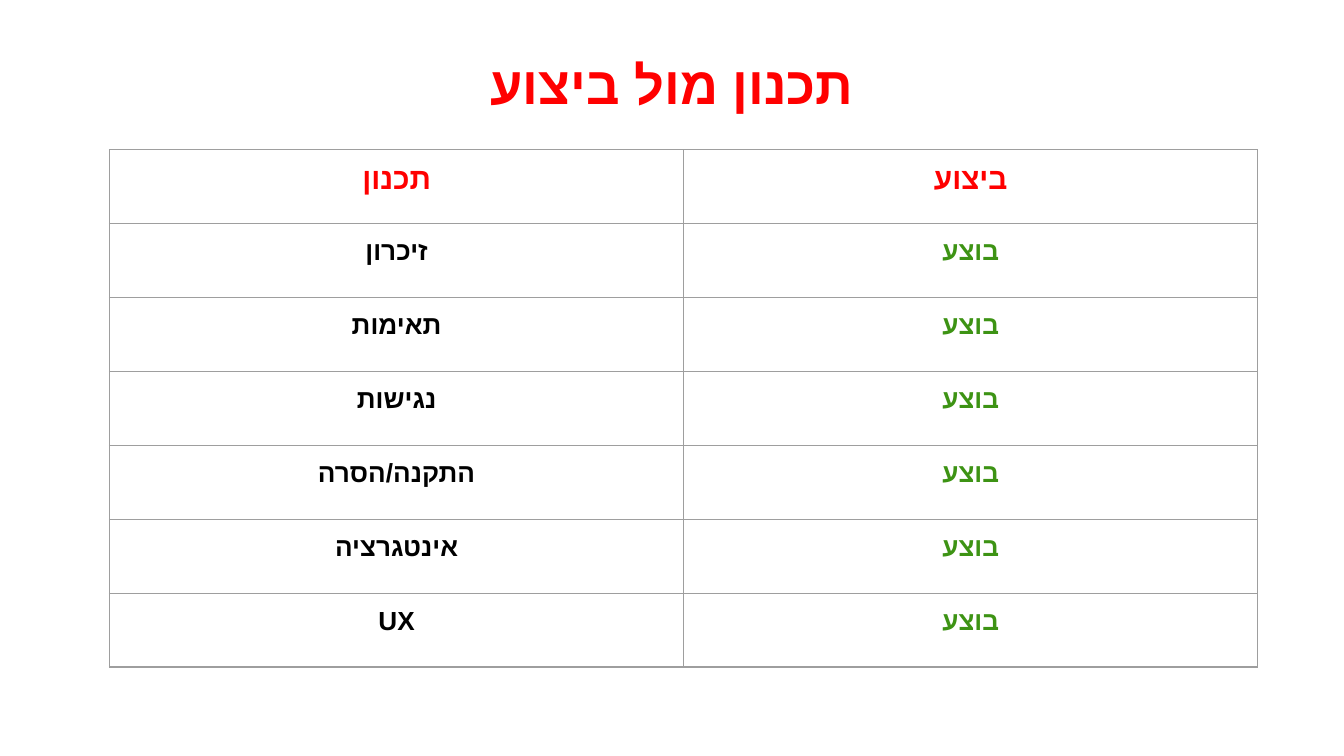
from dataclasses import dataclass

from lxml.etree import SubElement
from pptx import Presentation
from pptx.dml.color import RGBColor
from pptx.enum.text import MSO_ANCHOR, MSO_AUTO_SIZE, PP_ALIGN
from pptx.oxml.ns import qn
from pptx.util import Cm, Pt


@dataclass(frozen=True)
class Theme:
    """Colours, type sizes and spacing of the deck."""
    font: str = "Arial"
    red: str = "FF0000"
    green: str = "3D9314"
    black: str = "000000"
    white: str = "FFFFFF"
    rule: str = "9E9E9E"
    title: float = 28.1
    head: float = 16
    body: float = 14
    line: float = 0.75
    pad: float = 0.25


LOOK = Theme()
HEAD = ("תכנון", "ביצוע")
TASKS = ("זיכרון", "תאימות", "נגישות", "התקנה/הסרה", "אינטגרציה", "UX")
DONE = "בוצע"


def write(frame, text, size, tint):
    """Add one bold centred run, right to left unless it is Latin."""
    para = frame.paragraphs[0]
    para.alignment = PP_ALIGN.CENTER
    para._p.get_or_add_pPr().set("rtl", "0" if text.isascii() else "1")
    run = para.add_run()
    run.text = text
    font = run.font
    font.name, font.size, font.bold = LOOK.font, Pt(size), True
    font.color.rgb = RGBColor.from_string(tint)
    SubElement(font._element, qn("a:cs"), typeface=LOOK.font)


def inset(part):
    """Give a cell or text frame equal margins."""
    part.margin_left = part.margin_right = Cm(LOOK.pad)
    part.margin_top = part.margin_bottom = Cm(LOOK.pad)


def border(cell):
    """Rule all four sides of a cell."""
    props = cell._tc.get_or_add_tcPr()
    for at, side in enumerate(("lnL", "lnR", "lnT", "lnB")):
        line = props.makeelement(qn(f"a:{side}"), {"w": str(Pt(LOOK.line))})
        fill = SubElement(line, qn("a:solidFill"))
        SubElement(fill, qn("a:srgbClr"), val=LOOK.rule)
        props.insert(at, line)


def title(slide, text, left, top, width, height):
    """Place the slide title in its box."""
    shape = slide.shapes.title
    shape.left, shape.top = Cm(left), Cm(top)
    shape.width, shape.height = Cm(width), Cm(height)
    frame = shape.text_frame
    frame.word_wrap, frame.auto_size = True, MSO_AUTO_SIZE.NONE
    frame.vertical_anchor = MSO_ANCHOR.TOP
    inset(frame)
    write(frame, text, LOOK.title, LOOK.red)


def grid(slide, rows, left, top, width, height):
    """Place the plan and result table in its box."""
    box = [Cm(n) for n in (left, top, width, height)]
    table = slide.shapes.add_table(len(rows), len(HEAD), *box).table
    table.first_row = table.horz_banding = False
    for i, row in enumerate(rows):
        for j, text in enumerate(row):
            cell = table.cell(i, j)
            cell.fill.solid()
            cell.fill.fore_color.rgb = RGBColor.from_string(LOOK.white)
            cell.vertical_anchor = MSO_ANCHOR.TOP
            inset(cell)
            border(cell)
            if i == 0:
                write(cell.text_frame, text, LOOK.head, LOOK.red)
            else:
                tint = (LOOK.black, LOOK.green)[j]
                write(cell.text_frame, text, LOOK.body, tint)


def main():
    """Build and save the slide."""
    deck = Presentation()
    deck.slide_width, deck.slide_height = Cm(25.4), Cm(14.29)
    slide = deck.slides.add_slide(deck.slide_layouts[5])
    title(slide, "תכנון מול ביצוע", 0.87, 0.74, 23.67, 1.6)
    rows = [HEAD] + [(task, DONE) for task in TASKS]
    grid(slide, rows, 2.07, 2.83, 21.7, 9.78)
    deck.save("out.pptx")


if __name__ == "__main__":
    main()
